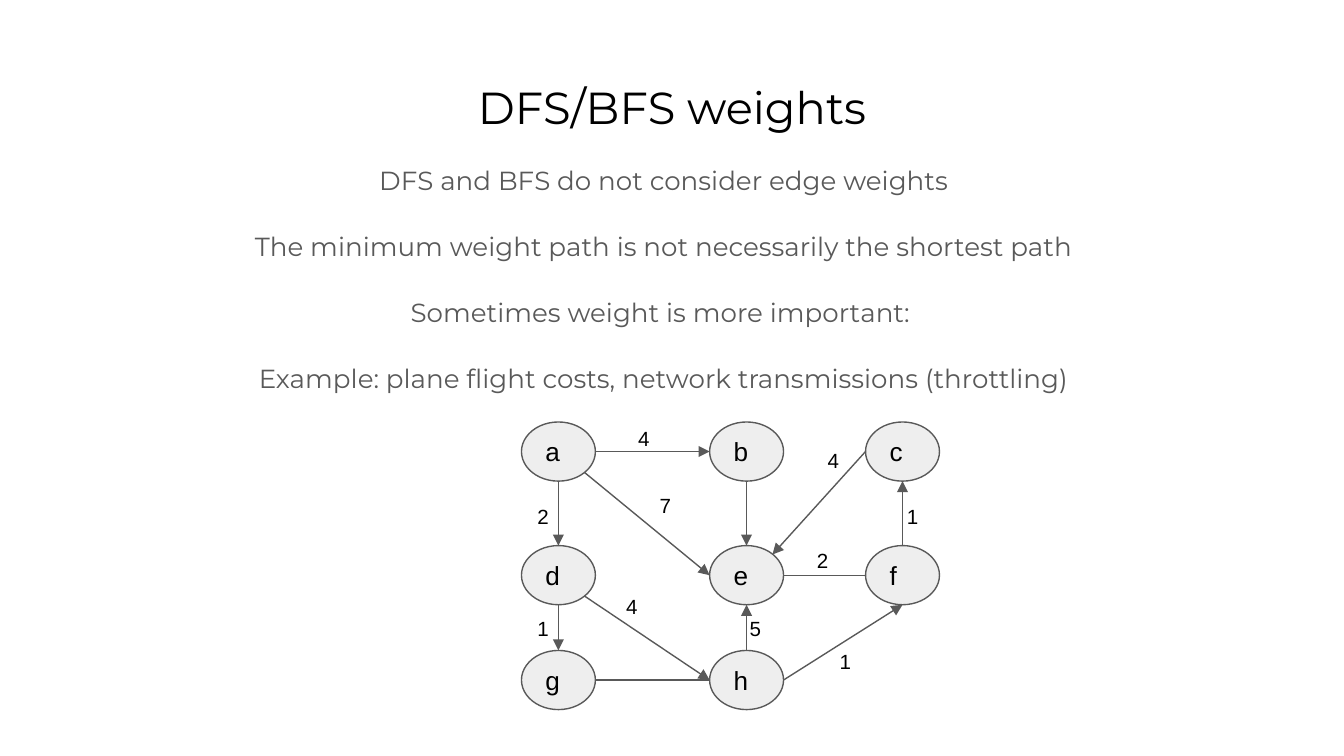
from pptx import Presentation
from pptx import util as u
from pptx.dml.color import RGBColor
from pptx.enum import shapes, text
from pptx.oxml.ns import qn
from lxml import etree

BLACK = RGBColor(0x00, 0x00, 0x00)
GRAY = RGBColor(0x59, 0x59, 0x59)
NODE_FILL = RGBColor(0xEE, 0xEE, 0xEE)

SLIDE_WIDTH = 10
SLIDE_HEIGHT = SLIDE_WIDTH * 9 / 16
NODE_WIDTH, NODE_HEIGHT = 0.55, 0.44
COLUMNS = (3.88, 5.28, 6.44)
ROWS = (3.14, 4.06, 4.84)
GRID = ("abc", "def", "gh")
NODES = {
    name: (left, top)
    for top, names in zip(ROWS, GRID)
    for left, name in zip(COLUMNS, names)
}
SITES = {
    "N": (0.5, 0), "S": (0.5, 1), "W": (0, 0.5), "E": (1, 0.5),
    "NE": (0.85, 0.15), "SE": (0.85, 0.85),
}
EDGES = (
    ("a", "E", "b", "W", True),
    ("a", "S", "d", "N", True),
    ("a", "SE", "e", "W", True),
    ("b", "S", "e", "N", True),
    ("c", "W", "e", "NE", True),
    ("d", "S", "g", "N", True),
    ("d", "SE", "h", "W", True),
    ("e", "E", "f", "W", False),
    ("f", "N", "c", "S", True),
    ("g", "E", "h", "W", False),
    ("h", "N", "e", "S", True),
    ("h", "E", "f", "S", True),
)
WEIGHTS = (
    ("4", 4.65, 3.07), ("4", 6.06, 3.23), ("4", 4.56, 4.32),
    ("7", 4.81, 3.57), ("2", 3.9, 3.65), ("1", 3.9, 4.48),
    ("1", 6.65, 3.65), ("2", 5.98, 3.98), ("5", 5.48, 4.48),
    ("1", 6.15, 4.73),
)
POINTS = (
    "DFS and BFS do not consider edge weights",
    "The minimum weight path is not necessarily the shortest path",
    "Sometimes weight is more important: ",
    "Example: plane flight costs, network transmissions (throttling)",
)


def place(box, left, top, width, height):
    box.left, box.top = u.Inches(left), u.Inches(top)
    box.width, box.height = u.Inches(width), u.Inches(height)


def set_frame(box, anchor=text.MSO_ANCHOR.TOP):
    frame = box.text_frame
    frame.word_wrap = True
    frame.auto_size = text.MSO_AUTO_SIZE.NONE
    frame.vertical_anchor = anchor
    frame.margin_left = frame.margin_right = u.Inches(0.1)
    frame.margin_top = frame.margin_bottom = u.Inches(0.1)
    return frame


def add_span(para, words, size, font, color, align=text.PP_ALIGN.LEFT):
    para.alignment = align
    span = para.add_run()
    span.text = words
    span.font.size = u.Pt(size)
    span.font.name = font
    span.font.color.rgb = color


def fill_title(box, words):
    place(box, 0.34, 0.49, 9.32, 0.63)
    para = set_frame(box).paragraphs[0]
    add_span(para, words, 24, "Montserrat", BLACK, text.PP_ALIGN.CENTER)


def fill_body(box, points):
    place(box, 0.34, 1.09, 9.2, 1.92)
    frame = set_frame(box)
    for index, words in enumerate(points):
        para = frame.add_paragraph() if index else frame.paragraphs[0]
        para.line_spacing = 1.15
        para.space_before = u.Pt(16 if index else 0)
        add_span(para, words, 14, "Montserrat", GRAY, text.PP_ALIGN.CENTER)
        properties = para._p.get_or_add_pPr()
        properties.set("marL", "0")
        properties.set("indent", "0")
        etree.SubElement(properties, qn("a:buNone"))


def add_node(page, name, left, top):
    node = page.shapes.add_shape(
        shapes.MSO_SHAPE.OVAL, u.Inches(left), u.Inches(top),
        u.Inches(NODE_WIDTH), u.Inches(NODE_HEIGHT))
    node.shadow.inherit = False
    node.fill.solid()
    node.fill.fore_color.rgb = NODE_FILL
    node.line.color.rgb = GRAY
    node.line.width = u.Pt(0.75)
    frame = set_frame(node, text.MSO_ANCHOR.MIDDLE)
    add_span(frame.paragraphs[0], name, 14, "Arial", BLACK)


def site_point(name, site):
    left, top = NODES[name]
    across, down = SITES[site]
    return u.Inches(left + across * NODE_WIDTH), u.Inches(top + down * NODE_HEIGHT)


def add_edge(page, start, start_site, end, end_site, directed):
    edge = page.shapes.add_connector(
        shapes.MSO_CONNECTOR.STRAIGHT,
        *site_point(start, start_site), *site_point(end, end_site))
    edge.line.color.rgb = GRAY
    edge.line.width = u.Pt(0.75)
    if directed:
        arrow = etree.SubElement(edge.line._get_or_add_ln(), qn("a:tailEnd"))
        arrow.set("type", "triangle")
        arrow.set("w", "med")
        arrow.set("len", "med")
    etree.SubElement(edge._element.spPr, qn("a:effectLst"))


def add_weight(page, words, left, top):
    box = page.shapes.add_textbox(
        u.Inches(left), u.Inches(top), u.Inches(0.3), u.Inches(0.29))
    add_span(set_frame(box).paragraphs[0], words, 11, "Arial", BLACK)


def main():
    deck = Presentation()
    deck.slide_width = u.Inches(SLIDE_WIDTH)
    deck.slide_height = u.Inches(SLIDE_HEIGHT)
    page = deck.slides.add_slide(deck.slide_layouts[1])
    fill_title(page.shapes.title, "DFS/BFS weights")
    fill_body(page.placeholders[1], POINTS)
    for name, (left, top) in NODES.items():
        add_node(page, name, left, top)
    for edge in EDGES:
        add_edge(page, *edge)
    for weight in WEIGHTS:
        add_weight(page, *weight)
    deck.save("out.pptx")


if __name__ == "__main__":
    main()
